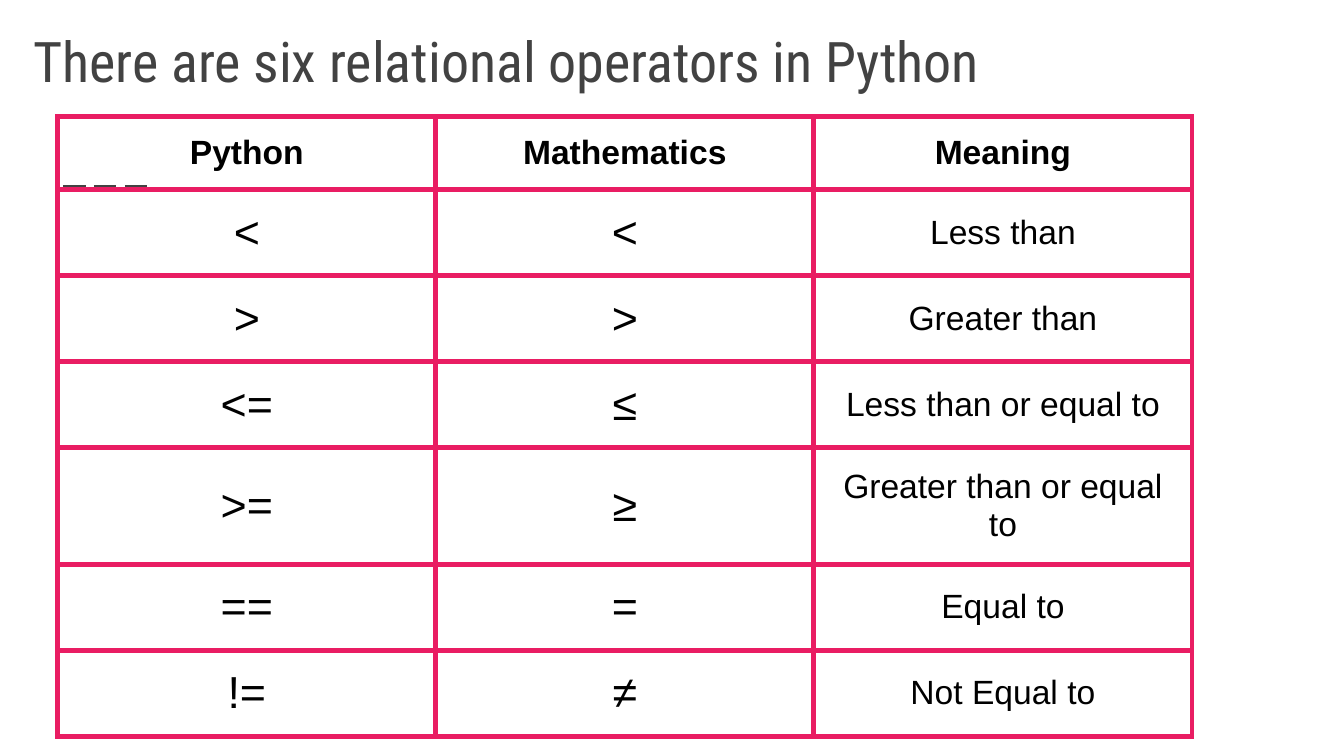
"""Build a slide with a table of the six relational operators in Python."""
from dataclasses import dataclass

from lxml import etree
from pptx import Presentation
from pptx import util as u
from pptx.dml.color import RGBColor
from pptx.enum import dml, shapes, text
from pptx.oxml import ns

WIDTH = u.Inches(10)
HEIGHT = WIDTH * 9 // 16
INK, GREY, PINK = "000000", "424242", "E91D63"
INSET = u.Inches(0.1)
COLUMN = u.Inches(8.44) // 3
HEADER_ROW, ROW, TALL_ROW = u.Inches(0.54), u.Inches(0.64), u.Inches(0.87)
HEADINGS = ("Python", "Mathematics", "Meaning")


@dataclass(frozen=True)
class Operator:
    """One relational operator and the height of its row."""
    python: str
    mathematics: str
    meaning: str
    height: int = ROW


OPERATORS = (
    Operator("<", "<", "Less than"),
    Operator(">", ">", "Greater than"),
    Operator("<=", "≤", "Less than or equal to"),
    Operator(">=", "≥", "Greater than or equal to", TALL_ROW),
    Operator("==", "=", "Equal to"),
    Operator("!=", "≠", "Not Equal to"),
)


def color(code: str) -> RGBColor:
    """Turn a hex string into a colour."""
    return RGBColor.from_string(code)


def style(paragraph, font: str, size: float, code: str, bold: bool = False) -> None:
    """Set the font of a whole paragraph."""
    paragraph.font.name = font
    paragraph.font.size = u.Pt(size)
    paragraph.font.bold = bold
    paragraph.font.color.rgb = color(code)


def set_insets(holder) -> None:
    """Give a cell or text frame the same margin on every side."""
    holder.margin_left = holder.margin_right = INSET
    holder.margin_top = holder.margin_bottom = INSET


def draw_title(slide, wording: str) -> None:
    """Write the heading at the top of the slide."""
    heading = slide.shapes.add_textbox(u.Inches(0.15), 0, u.Inches(9.32), u.Inches(0.8)).text_frame
    heading.word_wrap = True
    heading.vertical_anchor = text.MSO_ANCHOR.BOTTOM
    set_insets(heading)
    heading.text = wording
    style(heading.paragraphs[0], "Roboto Condensed", 30, GREY)


def draw_dashes(slide) -> None:
    """Draw the short dashed rule behind the table."""
    level = u.Inches(1.39)
    rule = slide.shapes.add_connector(
        shapes.MSO_CONNECTOR.STRAIGHT, u.Inches(0.47), level, u.Inches(1.14), level)
    rule.line.color.rgb = color(GREY)
    rule.line.width = u.Pt(1.5)
    rule.line.dash_style = dml.MSO_LINE.LONG_DASH
    etree.SubElement(rule._element.spPr, ns.qn("a:effectLst"))


def add_borders(cell, code: str, width: int) -> None:
    """Outline all four sides of a cell."""
    properties = cell._tc.get_or_add_tcPr()
    for side in ("lnL", "lnR", "lnT", "lnB"):
        border = etree.SubElement(properties, ns.qn(f"a:{side}"), w=str(width))
        fill = etree.SubElement(border, ns.qn("a:solidFill"))
        etree.SubElement(fill, ns.qn("a:srgbClr"), val=code)


def fill_cell(cell, wording: str, size: float, bold: bool) -> None:
    """Write centred text in an outlined, unfilled cell."""
    cell.text = wording
    cell.vertical_anchor = text.MSO_ANCHOR.MIDDLE
    set_insets(cell)
    paragraph = cell.text_frame.paragraphs[0]
    paragraph.alignment = text.PP_ALIGN.CENTER
    style(paragraph, "Arial", size, INK, bold)
    add_borders(cell, PINK, u.Pt(3))
    cell.fill.background()


def draw_operators(slide) -> None:
    """Lay out the headings and one row for each operator."""
    heights = [HEADER_ROW, *(operator.height for operator in OPERATORS)]
    rows = [HEADINGS, *((o.python, o.mathematics, o.meaning) for o in OPERATORS)]
    table = slide.shapes.add_table(
        len(rows), len(HEADINGS), u.Inches(0.43), u.Inches(0.87),
        COLUMN * len(HEADINGS), sum(heights)).table
    table.first_row = table.horz_banding = False
    for column in table.columns:
        column.width = COLUMN
    for r, (height, wordings) in enumerate(zip(heights, rows)):
        table.rows[r].height = height
        for c, wording in enumerate(wordings):
            is_heading = r == 0
            is_symbol = not is_heading and HEADINGS[c] != "Meaning"
            fill_cell(table.cell(r, c), wording, 24 if is_symbol else 18, is_heading)


def main() -> None:
    """Build and save the slide."""
    deck = Presentation()
    deck.slide_width, deck.slide_height = WIDTH, HEIGHT
    slide = deck.slides.add_slide(deck.slide_layouts[6])
    draw_dashes(slide)
    draw_title(slide, "There are six relational operators in Python")
    draw_operators(slide)
    deck.save("out.pptx")


if __name__ == "__main__":
    main()
